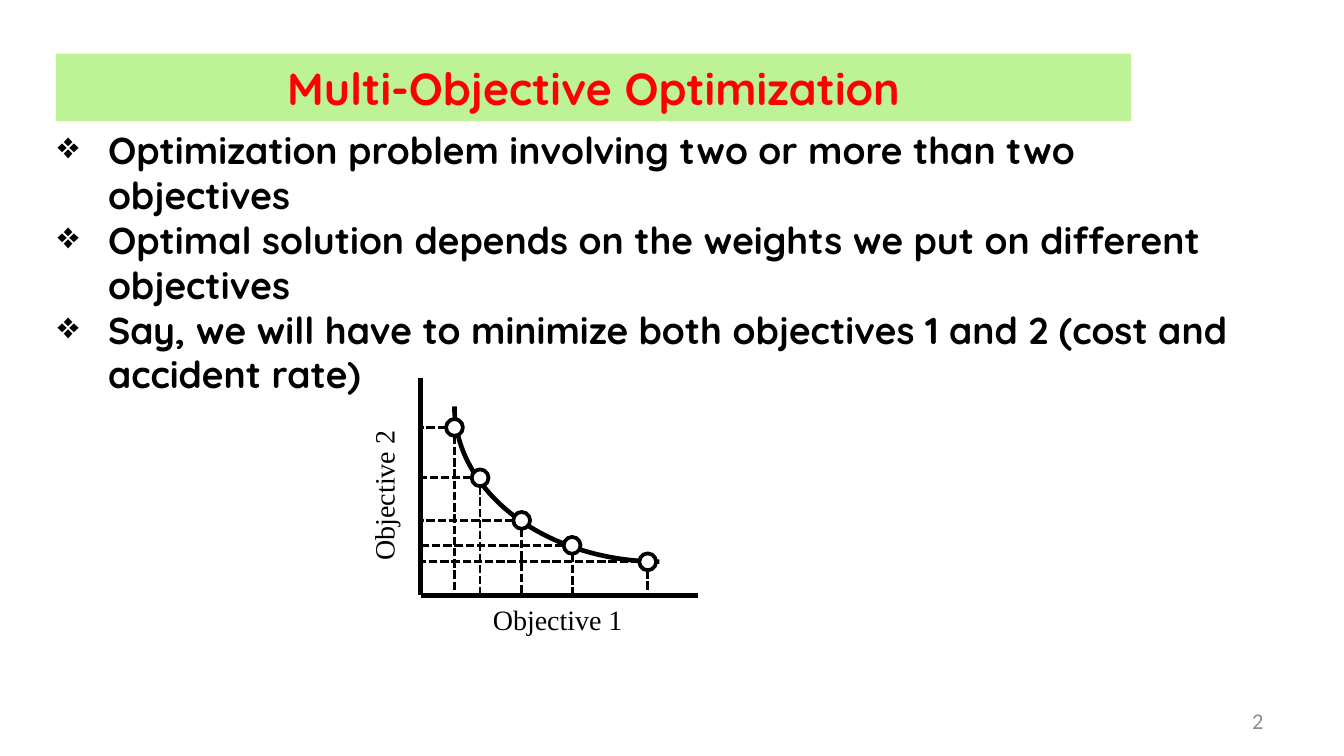
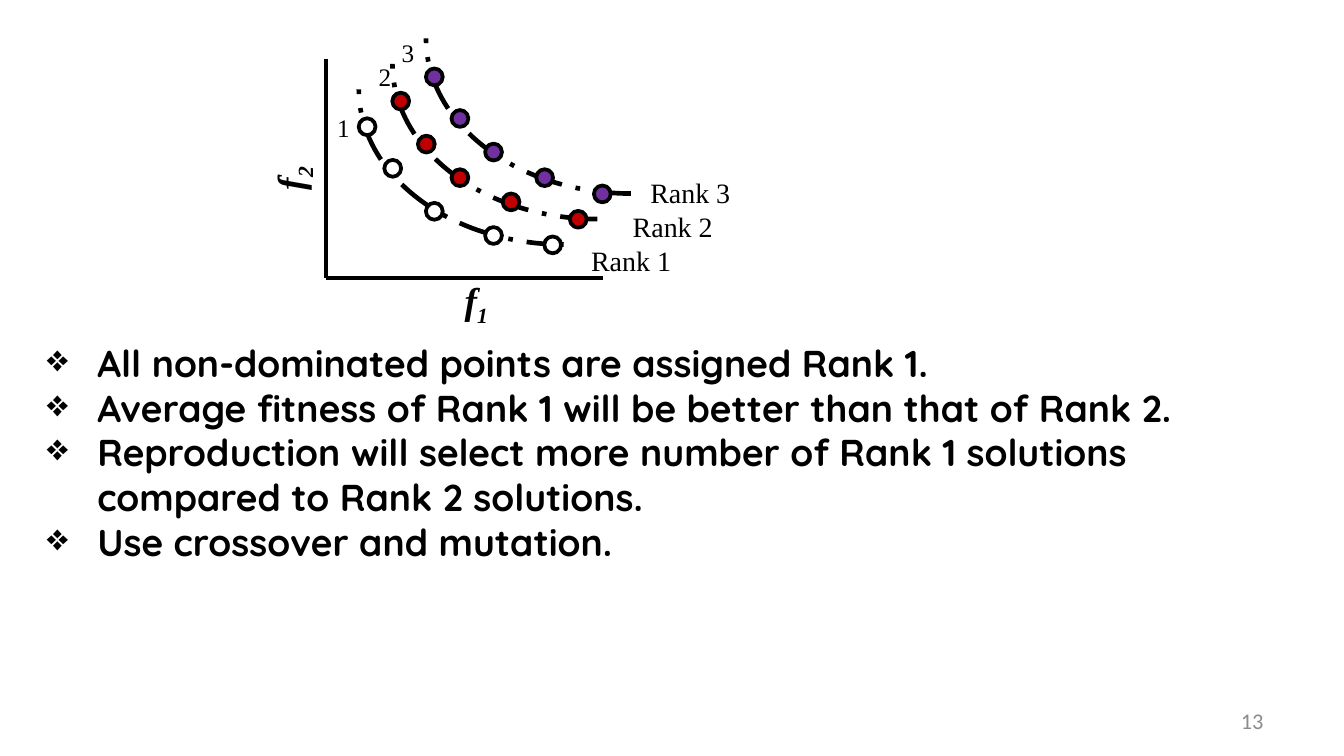
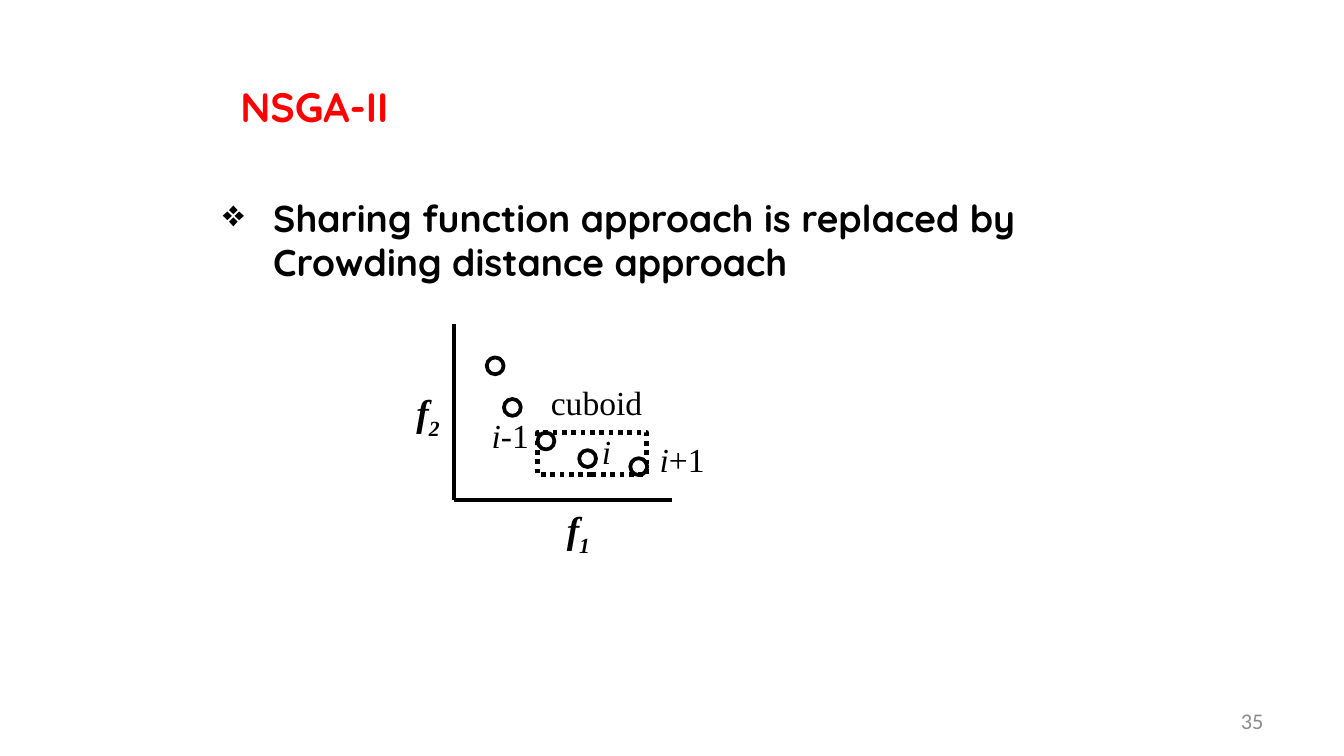
from pptx import Presentation
from pptx.dml.color import RGBColor
from pptx.enum.dml import MSO_LINE
from pptx.enum.shapes import MSO_CONNECTOR, MSO_SHAPE
from pptx.enum.text import MSO_ANCHOR, PP_ALIGN
from pptx.oxml.ns import qn
from pptx.util import Pt
from lxml import etree

# Enum members
RECT, ARC, NODE = MSO_SHAPE.RECTANGLE, MSO_SHAPE.ARC, MSO_SHAPE.FLOWCHART_CONNECTOR
STRAIGHT = MSO_CONNECTOR.STRAIGHT
LEFT, CENTER, RIGHT = PP_ALIGN.LEFT, PP_ALIGN.CENTER, PP_ALIGN.RIGHT
TOP, MIDDLE = MSO_ANCHOR.TOP, MSO_ANCHOR.MIDDLE
DASH, DOTS, CHAIN = MSO_LINE.SQUARE_DOT, MSO_LINE.ROUND_DOT, MSO_LINE.LONG_DASH_DOT

# Colours and fonts
BLACK = RGBColor(0x00, 0x00, 0x00)
WHITE = RGBColor(0xFF, 0xFF, 0xFF)
RED = RGBColor(0xFF, 0x00, 0x00)
GREEN = RGBColor(0xBE, 0xF2, 0x97)
GREY = RGBColor(0x8C, 0x8C, 0x8C)
CRIMSON = RGBColor(0xC0, 0x00, 0x00)
PURPLE = RGBColor(0x70, 0x30, 0xA0)
HEAD, SERIF, SANS = "Quicksand", "Times New Roman", "Calibri"

RADIUS = 4.5


def write(frame, lines, font=SERIF, size=15, color=BLACK, bold=False, italic=False,
          align=LEFT, anchor=TOP, wrap=False, bullet=None, indent=27):
    """Fill a frame; a line is a string or a list of (text, changes) runs."""
    frame.word_wrap, frame.vertical_anchor = wrap, anchor
    for n, line in enumerate(lines):
        para = frame.paragraphs[0] if n == 0 else frame.add_paragraph()
        para.alignment = align
        if bullet:
            props = para._p.get_or_add_pPr()
            props.set("marL", str(Pt(indent)))
            props.set("indent", str(-Pt(indent)))
            etree.SubElement(props, qn("a:buChar")).set("char", bullet)
        for text, change in [(line, {})] if isinstance(line, str) else line:
            run = para.add_run()
            run.text = text
            run.font.name, run.font.size = font, Pt(size)
            run.font.bold, run.font.italic = bold, change.get("italic", italic)
            run.font.color.rgb = color
            if "base" in change:
                run.font._element.set("baseline", str(change["base"] * 1000))


class Deck:
    def __init__(self):
        self.file = Presentation()
        self.file.slide_width, self.file.slide_height = Pt(720), Pt(405)

    def page(self, number):
        self.shapes = self.file.slides.add_slide(self.file.slide_layouts[6]).shapes
        self.label(516.2, 375.1, 167.8, 21.6, str(number), font=SANS, size=12,
                   color=GREY, align=RIGHT, anchor=MIDDLE, wrap=True)

    def label(self, x, y, w, h, *lines, turn=0, **style):
        box = self.shapes.add_textbox(Pt(x), Pt(y), Pt(w), Pt(h))
        box.rotation = turn
        write(box.text_frame, lines, **style)

    def bullets(self, x, y, w, h, *lines):
        self.label(x, y, w, h, *lines, font=HEAD, size=20, bold=True,
                   wrap=True, bullet="\u2756")

    def sub(self, x, y, index, turn=0):
        self.label(x, y, 28, 31.7, [("f", {}), (index, {"base": -25})], turn=turn,
                   size=20, bold=True, italic=True)

    def shape(self, kind, x, y, w, h, fill=None, width=0, dash=None):
        item = self.shapes.add_shape(kind, Pt(x), Pt(y), Pt(w), Pt(h))
        item.shadow.inherit = False
        if fill is None:
            item.fill.background()
        else:
            item.fill.solid()
            item.fill.fore_color.rgb = fill
        if width:
            self.stroke(item.line, width, dash)
        else:
            item.line.fill.background()
        return item

    def stroke(self, line, width, dash):
        line.color.rgb, line.width = BLACK, Pt(width)
        if dash:
            line.dash_style = dash

    def band(self, text):
        bar = self.shape(RECT, 30, 28.8, 576, 36, GREEN)
        write(bar.text_frame, [text], font=HEAD, size=24, color=RED, bold=True,
              align=CENTER, anchor=MIDDLE, wrap=True)

    def line(self, x1, y1, x2, y2, width=1.5, dash=None):
        link = self.shapes.add_connector(STRAIGHT, Pt(x1), Pt(y1), Pt(x2), Pt(y2))
        self.stroke(link.line, width, dash)
        etree.SubElement(link._element.spPr, qn("a:effectLst"))

    def axes(self, x, y, top, right, width=2.5):
        self.line(x, top, x, y, width)
        self.line(x, y, right, y, width)

    def curve(self, x, y, dash=None):
        self.shape(ARC, x, y, 219.6, 166.3, width=2.5, dash=dash).rotation = 180

    def dots(self, points, fill=WHITE):
        for x, y in points:
            self.shape(NODE, x - RADIUS, y - RADIUS, 2 * RADIUS, 2 * RADIUS, fill, 2)


deck = Deck()

# Slide 1: two objectives and their trade-off curve
deck.page(2)
deck.bullets(23.8, 64.8, 660.2, 283.7,
             "Optimization problem involving two or more than two objectives",
             "Optimal solution depends on the weights we put on different objectives ",
             "Say, we will have to minimize both objectives 1 and 2 (cost and accident rate)")
left, base = 225.4, 319
deck.axes(left, base, 202.3, 373.7)
deck.curve(243.4, 134.6)
front = [(243.5, 229), (257.2, 256), (279.5, 278.8), (306.5, 292.2), (347, 301)]
deck.dots(front)
for x, y in front:
    deck.line(x, y + RADIUS, x, base, dash=DASH)
    deck.line(x - RADIUS, y, left, y, dash=DASH)
deck.label(257, 319, 84.2, 25.2, "Objective 1")
deck.label(163.4, 252.7, 84.2, 25.2, "Objective 2", turn=270)
deck.band("Multi-Objective Optimization")

# Slide 2: ranked fronts
deck.page(13)
deck.axes(174.6, 149, 31.7, 323.3)
ranks = [
    (WHITE, (173.5, 56.9), 309.6,
     [(196.7, 67.9), (210.4, 90.2), (232.7, 113.2), (264.4, 126.2), (296.1, 131.2)]),
    (CRIMSON, (195.8, 29.5), 331.9,
     [(214.7, 54.2), (228.4, 77.2), (246.4, 95.2), (273.8, 108.2), (309.8, 117.5)]),
    (PURPLE, (208.1, 16.6), 341.3,
     [(232.7, 41.2), (246.4, 63.5), (264.4, 81.5), (291.8, 95.2), (322.7, 103.9)]),
]
for n, (fill, mark, x, points) in enumerate(ranks):
    deck.curve(192.2 + 18 * n, -35.3 - 13.65 * n, CHAIN)
    deck.dots(points, fill)
    deck.label(*mark, 21.6, 23.8, str(n + 1), size=13.5)
    deck.label(x, 126.7 - 18 * n, 57.6, 25.2, f"Rank {n + 1}")
deck.sub(241.9, 144.7, "1")
deck.sub(141.1, 79.2, "2", turn=270)
deck.bullets(18, 178.6, 653.8, 128.2,
             "All non-dominated points are assigned Rank 1.",
             "Average fitness of Rank 1 will be better than that of Rank 2.",
             "Reproduction will select more number of Rank 1 solutions "
             "compared to Rank 2 solutions.",
             "Use crossover and mutation.")

# Slide 3: crowding distance
deck.page(35)
deck.label(121.7, 40.3, 99.4, 33.8, "NSGA-II", font=HEAD, size=22, color=RED, bold=True)
deck.bullets(112.3, 100.8, 511.2, 186.5,
             "Sharing function approach is replaced by Crowding distance approach")
deck.axes(243.4, 267.8, 173.5, 360, width=2)
deck.dots([(265.3, 196), (274.5, 218.3), (292.5, 236.3), (314.8, 245.7), (342.2, 250)])
deck.shape(RECT, 288, 231.8, 58.5, 22.5, width=2.5, dash=DOTS)
upright = {"italic": False}
deck.label(346.3, 231.8, 38.9, 28.8, [("i", {}), ("+1", upright)], size=18, italic=True)
deck.label(315.4, 227.5, 19.4, 28.8, "i", size=18, italic=True)
deck.label(256.3, 218.9, 34.6, 28.8, [("i-", {}), ("1", upright)], size=18, italic=True)
deck.label(288, 200.9, 64.1, 28.8, "cuboid", size=18)
deck.sub(296.6, 267.8, "1")
deck.sub(216, 205.2, "2")

deck.file.save("out.pptx")
